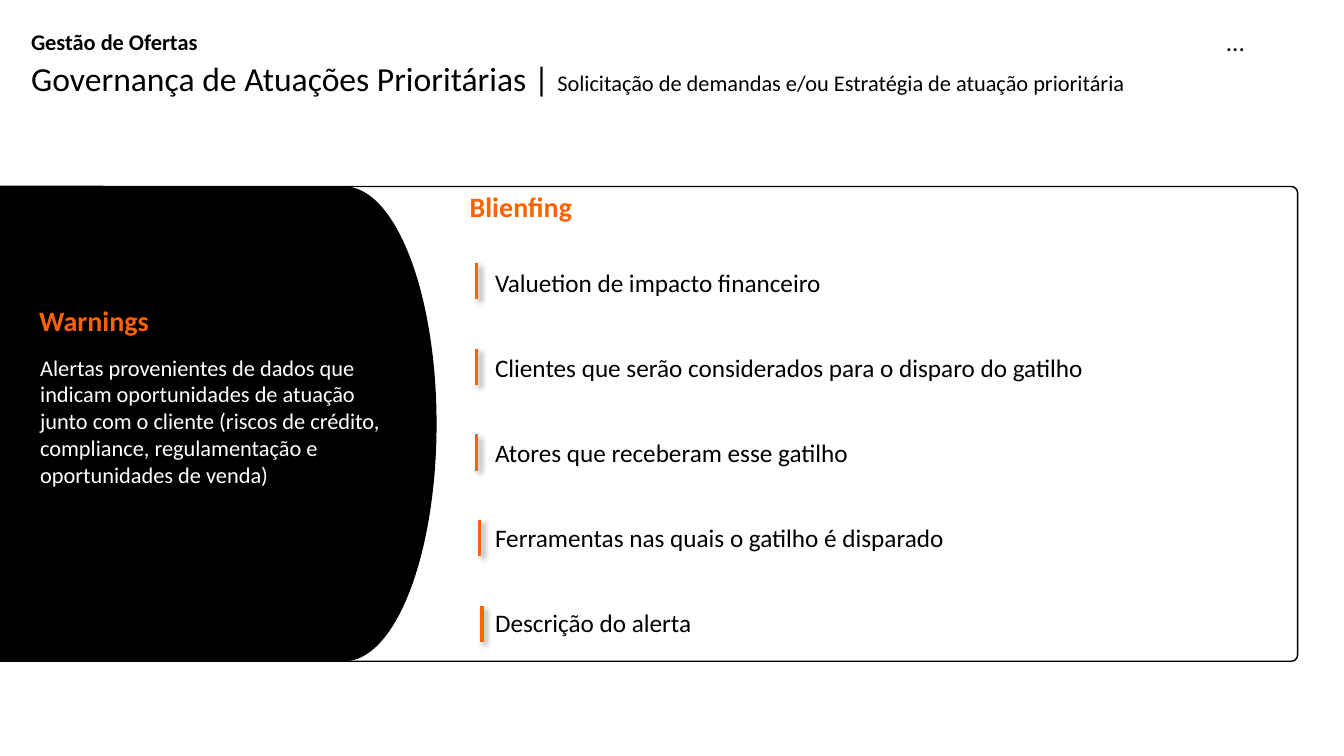
"""Builds the slide on warnings and the briefing behind each trigger."""
from lxml import etree
from pptx import Presentation
from pptx.dml.color import RGBColor
from pptx.enum import shapes, text
from pptx.oxml import parse_xml
from pptx.oxml.ns import nsdecls, qn
from pptx.util import Inches, Pt

BLACK = RGBColor(0x00, 0x00, 0x00)
WHITE = RGBColor(0xFF, 0xFF, 0xFF)
ORANGE = RGBColor(0xFF, 0x62, 0x01)
BAR_ORANGE = RGBColor(0xFE, 0x63, 0x00)
FONT = "Calibri"
TOP, HEIGHT = 1.85, 4.71
PITCH = 0.85
ITEMS = [
    "Valuetion de impacto financeiro",
    "Clientes que serão considerados para o disparo do gatilho",
    "Atores que receberam esse gatilho",
    "Ferramentas nas quais o gatilho é disparado",
    "Descrição do alerta",
]
BAR_LEFTS = [4.73, 4.73, 4.73, 4.76, 4.78]
SHADOW = (
    f'<a:effectLst {nsdecls("a")}>'
    '<a:outerShdw blurRad="50800" dist="38100" dir="2700000" algn="tl" rotWithShape="0">'
    '<a:srgbClr val="000000"><a:alpha val="40000"/></a:srgbClr>'
    "</a:outerShdw></a:effectLst>"
)


def place(sp, left, top, width, height):
    """Move and size a shape, in inches."""
    sp.left, sp.top = Inches(left), Inches(top)
    sp.width, sp.height = Inches(width), Inches(height)


def style(r, size, color=BLACK, bold=False):
    """Format one run."""
    f = r.font
    f.name, f.size, f.bold = FONT, Pt(size), bold
    f.color.rgb = color


def add_title(s, parts):
    """Fill the title placeholder with runs of (text, size)."""
    sp = s.shapes.title
    place(sp, 0.21, 0.52, 12, 0.91)
    tf = sp.text_frame
    tf.vertical_anchor = text.MSO_ANCHOR.TOP
    tf.auto_size = text.MSO_AUTO_SIZE.NONE
    p = tf.paragraphs[0]
    p.alignment = text.PP_ALIGN.LEFT
    for words, size in parts:
        r = p.add_run()
        r.text = words
        style(r, size)


def add_list(s, items):
    """Fill the body placeholder with evenly spaced, unbulleted items."""
    sp = s.placeholders[1]
    place(sp, 4.81, 2.6, 7.8, 3.8)
    tf = sp.text_frame
    tf.auto_size = text.MSO_AUTO_SIZE.NONE
    tf.text = "\n".join(items)
    for p in tf.paragraphs:
        p.space_before, p.space_after = Pt(0), Pt(PITCH * 72 - 22)
        style(p.runs[0], 18)
        pPr = p._p.get_or_add_pPr()
        pPr.set("marL", "0")
        pPr.set("indent", "0")
        etree.SubElement(pPr, qn("a:buNone"))


def add_text(s, box, words, size, color=BLACK, bold=False, anchor=text.MSO_ANCHOR.TOP):
    """Add a wrapped text box."""
    sp = s.shapes.add_textbox(*map(Inches, box))
    tf = sp.text_frame
    tf.word_wrap = True
    tf.vertical_anchor = anchor
    tf.text = words
    style(tf.paragraphs[0].runs[0], size, color, bold)


def add_heading(s, left, top, words):
    """Add an orange section heading."""
    add_text(s, (left, top, 3.72, 0.4), words, 20, ORANGE, True, text.MSO_ANCHOR.MIDDLE)


def add_panel(s, kind, left, width):
    """Add an unfilled, unlined panel in the main band."""
    sp = s.shapes.add_shape(kind, *map(Inches, (left, TOP, width, HEIGHT)))
    sp.shadow.inherit = False
    sp.fill.background()
    sp.line.fill.background()
    return sp


def add_bar(s, left, top):
    """Add a short orange vertical bar with a soft shadow."""
    ends = map(Inches, (left, top, left, top + 0.36))
    sp = s.shapes.add_connector(shapes.MSO_CONNECTOR.STRAIGHT, *ends)
    sp.line.color.rgb = BAR_ORANGE
    sp.line.width = Pt(2.25)
    sp._element.spPr.append(parse_xml(SHADOW))


def main():
    """Build and save the slide."""
    prs = Presentation()
    prs.slide_width, prs.slide_height = Inches(13.33), Inches(7.5)
    s = prs.slides.add_slide(prs.slide_layouts[1])

    warning_panel = add_panel(s, shapes.MSO_SHAPE.FLOWCHART_DISPLAY, -1.16, 5.49)
    warning_panel.fill.solid()
    warning_panel.fill.fore_color.rgb = BLACK
    frame = add_panel(s, shapes.MSO_SHAPE.ROUNDED_RECTANGLE, -0.26, 13.13)
    frame.adjustments[0] = 0.013
    frame.line.color.rgb = BLACK
    frame.line.width = Pt(1)

    add_title(s, [
        ("Governança de Atuações Prioritárias | ", 24),
        ("Solicitação de demandas e/ou Estratégia de atuação prioritária", 16),
    ])
    add_text(s, (0.21, 0.23, 2.2, 0.37), "Gestão de Ofertas", 16, bold=True)
    add_text(s, (12.06, 0.21, 0.5, 0.4), "...", 18)

    add_heading(s, 0.29, 2.98, "Warnings")
    add_text(
        s, (0.3, 3.46, 3.64, 1.45),
        "Alertas provenientes de dados que indicam oportunidades de atuação junto com o "
        "cliente (riscos de crédito, compliance, regulamentação e oportunidades de venda)",
        16, WHITE,
    )
    add_heading(s, 4.56, TOP, "Blienfing")
    add_list(s, ITEMS)
    for i, left in enumerate(BAR_LEFTS):
        add_bar(s, left, 2.61 + i * PITCH)

    prs.save("out.pptx")


if __name__ == "__main__":
    main()
